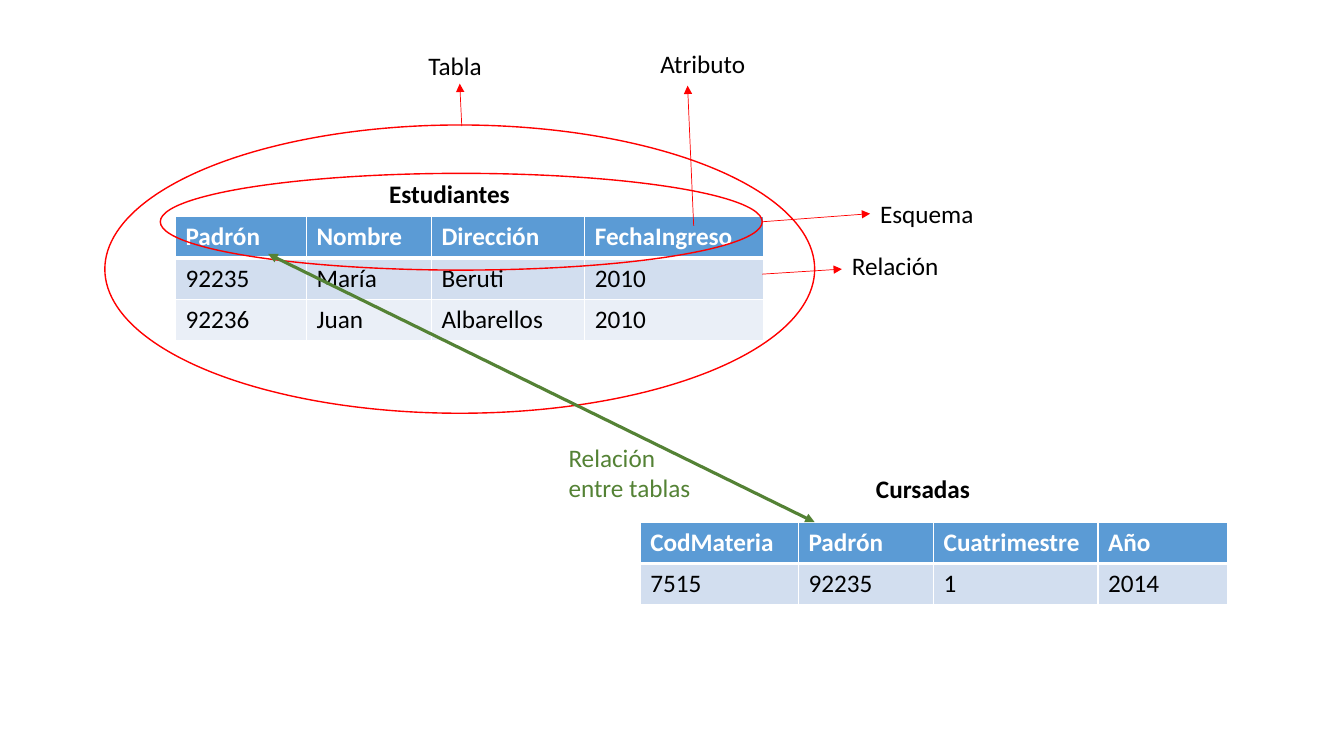
import pptx
import pptx.dml.color
import pptx.enum.shapes
import pptx.enum.text
import pptx.oxml
import pptx.oxml.ns
import pptx.util
from pptx.util import Inches

COLORS = {
    "text": "000000", "white": "FFFFFF", "header": "5B9BD5",
    "band_dark": "D2DEEF", "band_light": "EAEFF7",
    "mark": "FF0000", "link": "548235",
}
ROW_HEIGHT = 0.41
TABLE_WIDTH = 5.83


def rgb(name):
    """Return the named colour."""
    return pptx.dml.color.RGBColor.from_string(COLORS[name])


def write(frame, text, *, font="Calibri", size=18, color="text", bold=False):
    """Put formatted text into a text frame."""
    span = frame.paragraphs[0].add_run()
    span.text = text
    span.font.name = font
    span.font.size = pptx.util.Pt(size)
    span.font.bold = bold
    span.font.color.rgb = rgb(color)


def add_xml(parent, tag, **attributes):
    """Append a drawing element to a parent and return it."""
    element = pptx.oxml.parse_xml(f"<{tag} {pptx.oxml.ns.nsdecls('a')}/>")
    for name, value in attributes.items():
        element.set(name, str(value))
    parent.append(element)
    return element


class Diagram:
    """Draws the elements of the current slide in one style."""

    def __init__(self, page):
        """Keep the slide to draw on."""
        self.page = page

    def label(self, text, left, top, width, height=0.4, wrap=True, **style):
        """Add a text box."""
        box = self.page.shapes.add_textbox(
            Inches(left), Inches(top), Inches(width), Inches(height))
        box.text_frame.word_wrap = wrap
        box.text_frame.auto_size = pptx.enum.text.MSO_AUTO_SIZE.SHAPE_TO_FIT_TEXT
        write(box.text_frame, text, **style)

    def ellipse(self, left, top, width, height):
        """Add an outlined ellipse without fill."""
        ring = self.page.shapes.add_shape(
            pptx.enum.shapes.MSO_SHAPE.OVAL,
            Inches(left), Inches(top), Inches(width), Inches(height))
        ring.shadow.inherit = False
        ring.fill.background()
        ring.line.color.rgb = rgb("mark")
        ring.line.width = pptx.util.Pt(1)

    def arrow(self, start, end, color="mark", width=0.5, both=False):
        """Add an arrow, with a head at the start too if both is set."""
        arrow = self.page.shapes.add_connector(
            pptx.enum.shapes.MSO_CONNECTOR.STRAIGHT,
            *(Inches(value) for value in start + end))
        arrow.line.color.rgb = rgb(color)
        arrow.line.width = pptx.util.Pt(width)
        line = arrow.line._get_or_add_ln()
        if both:
            add_xml(line, "a:headEnd", type="triangle")
        add_xml(line, "a:tailEnd", type="triangle")
        add_xml(arrow._element.spPr, "a:effectLst")

    def border(self, cell, bottom, top):
        """Draw white borders round a cell, given two widths in points."""
        properties = cell._tc.get_or_add_tcPr()
        for side, width in (("L", 1), ("R", 1), ("T", top), ("B", bottom)):
            line = add_xml(properties, f"a:ln{side}", w=pptx.util.Pt(width))
            add_xml(add_xml(line, "a:solidFill"), "a:srgbClr", val=COLORS["white"])

    def table(self, left, top, widths, rows):
        """Add a table with a header row and banded data rows."""
        table = self.page.shapes.add_table(
            len(rows), len(widths), Inches(left), Inches(top),
            Inches(TABLE_WIDTH), Inches(ROW_HEIGHT * len(rows))).table
        for column, width in zip(table.columns, widths):
            column.width = Inches(width)
        bands = ("header", "band_dark", "band_light")
        for index, (row, values, band) in enumerate(zip(table.rows, rows, bands)):
            row.height = Inches(ROW_HEIGHT)
            is_header = index == 0
            for cell, value in zip(row.cells, values):
                self.border(cell, bottom=3 if is_header else 1,
                            top=3 if index == 1 else 1)
                cell.fill.solid()
                cell.fill.fore_color.rgb = rgb(band)
                write(cell.text_frame, value, bold=is_header,
                      color="white" if is_header else "text")


def main():
    """Build the slide and save the deck."""
    deck = pptx.Presentation()
    deck.slide_width, deck.slide_height = Inches(13.33), Inches(7.5)
    blank_layout = deck.slide_layouts[6]
    diagram = Diagram(deck.slides.add_slide(blank_layout))

    diagram.table(1.74, 2.15, (1.3, 1.24, 1.52, 1.77), (
        ("Padrón", "Nombre", "Dirección", "FechaIngreso"),
        ("92235", "María", "Beruti", "2010"),
        ("92236", "Juan", "Albarellos", "2010")))
    diagram.label("Estudiantes", 3.76, 1.72, 1.41, wrap=False, bold=True)

    diagram.ellipse(1.59, 1.72, 5.97, 0.96)
    diagram.arrow((7.56, 2.2), (8.63, 2.12))
    diagram.label("Esquema", 8.63, 1.92, 1.62)
    diagram.arrow((7.56, 2.72), (8.35, 2.67))
    diagram.label("Relación", 8.35, 2.43, 1.62)

    diagram.ellipse(1.04, 1.24, 7.04, 2.86)
    diagram.arrow((4.58, 1.25), (4.56, 0.83))
    diagram.label("Tabla", 4.15, 0.45, 0.86)

    diagram.label("Cursadas", 8.59, 4.65, 1.14, wrap=False, bold=True)
    diagram.table(6.35, 5.18, (1.57, 1.34, 1.63, 1.29), (
        ("CodMateria", "Padrón", "Cuatrimestre", "Año"),
        ("7515", "92235", "1", "2014")))
    diagram.arrow((2.66, 2.52), (8.08, 5.18), color="link", width=2.25, both=True)
    diagram.label("Relación entre tablas", 5.54, 4.34, 1.62, 0.71, color="link")

    diagram.arrow((6.88, 2.24), (6.82, 0.85))
    diagram.label("Atributo", 6.45, 0.43, 1.62)

    deck.save("out.pptx")


main()
